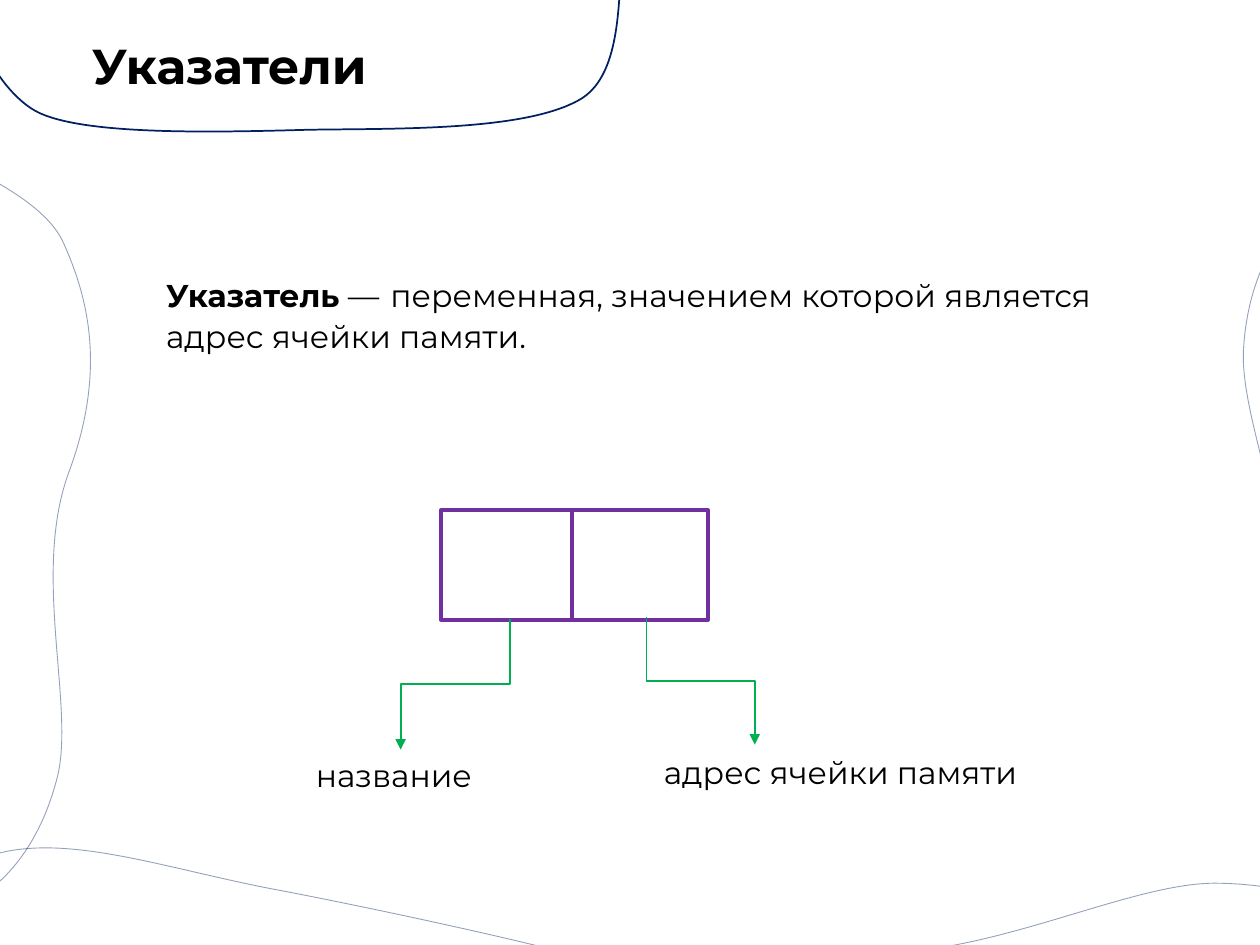
import dataclasses
import typing

import pptx
import pptx.dml.color
import pptx.enum.shapes
import pptx.enum.text
import pptx.oxml.ns
import pptx.util
from lxml import etree

Inches = pptx.util.Inches
Pt = pptx.util.Pt
qn = pptx.oxml.ns.qn
COLORS = {"text": "000000", "wave": "002060", "cell": "7030A0", "arrow": "00B050", "white": "FFFFFF"}
FONT = "Montserrat"


@dataclasses.dataclass
class Wave:
    points: list[tuple[float, float]]
    width: float = 0.5
    opacity: int = 42


@dataclasses.dataclass
class Run:
    text: str
    bold: bool = False
    size: int = 18
    font: str = FONT


@dataclasses.dataclass
class Label:
    left: float
    top: float
    width: float
    height: float
    runs: list[Run]


@dataclasses.dataclass
class Arrow:
    x1: float
    y1: float
    x2: float
    y2: float


WAVES = [
    Wave([(-0.4, 1.67), (-0.64, 2.05), (-1.11, 5.94), (-1.3, 6.97), (-1.49, 8.01), (-0.57, 7.32),
          (-0.27, 7.18), (0.02, 7.04), (0.32, 6.72), (0.46, 6.15), (0.59, 5.58), (0.25, 4.54),
          (0.55, 3.74), (0.84, 2.95), (0.71, 2.38), (0.5, 1.92), (0.29, 1.47), (-0.63, 1.22),
          (-0.72, 1.01)]),
    Wave([(4.53, -0.15), (4.2, -0.32), (1.13, -0.15), (0.3, -0.16), (-0.53, -0.18), (-0.08, 0.68),
          (0.28, 0.88), (0.64, 1.08), (1.73, 1.05), (2.46, 1.03), (3.18, 1.02), (4.2, 1.04),
          (4.62, 0.78), (5.04, 0.51), (4.85, -0.46), (5, -0.58)], 1, 100),
    Wave([(11.45, 7.03), (11.63, 6.62), (11.45, 2.71), (11.46, 1.65), (11.48, 0.6), (10.68, 1.44),
          (10.42, 1.62), (10.15, 1.81), (9.91, 2.17), (9.87, 2.76), (9.83, 3.34), (10.33, 4.32),
          (10.18, 5.15), (10.02, 5.98), (10.24, 6.52), (10.52, 6.94), (10.8, 7.35), (11.76, 7.44),
          (11.88, 7.63)]),
    Wave([(5.21, 7.77), (4.66, 7.57), (3.12, 7.24), (2.24, 7.07), (1.36, 6.91), (0.56, 6.61),
          (-0.04, 6.78), (-0.65, 6.95), (-1.1, 8.02), (-1.39, 8.09)]),
    Wave([(4.37, 9.23), (4.9, 9.42), (9.83, 8.92), (11.17, 8.87), (12.5, 8.82), (11.38, 7.91),
          (11.13, 7.6), (10.88, 7.29), (10.41, 7.02), (9.66, 7.01), (8.92, 7), (7.72, 7.68),
          (6.67, 7.55), (5.61, 7.42), (4.93, 7.72), (4.43, 8.1), (3.93, 8.47), (3.88, 9.63),
          (3.64, 9.8)]),
]
LABELS = [
    Label(1.22, 2, 8, 0.88, [
        Run("Указатель", True), Run(" —"), Run(" ", size=28, font="Calibri"),
        Run("переменная, значением которой является адрес ячейки памяти.")]),
    Label(2.41, 5.95, 1.47, 0.4, [Run("название")]),
    Label(5.17, 5.93, 3.25, 0.4, [Run("адрес ячейки памяти")]),
]
CELLS = [(3.5, 2.01), (4.54, 1.08)]
CELL_TOP, CELL_HEIGHT = 4.05, 0.87
ARROWS = [Arrow(4.05, 4.91, 3.18, 5.95), Arrow(5.13, 4.9, 5.99, 5.91)]


def rgb(name: str) -> pptx.dml.color.RGBColor:
    return pptx.dml.color.RGBColor.from_string(COLORS[name])


def set_line(sp: typing.Any, color: str, width: float) -> None:
    sp.line.color.rgb = rgb(color)
    sp.line.width = Pt(width)


def format_run(r: typing.Any, run: Run) -> None:
    r.font.name = run.font
    r.font.size = Pt(run.size)
    r.font.bold = run.bold
    r.font.color.rgb = rgb("text")


def add_title(s: typing.Any, text: str) -> None:
    sp = s.shapes.title
    sp.left, sp.top, sp.width, sp.height = (Inches(v) for v in (0.63, 0.23, 2.57, 0.63))
    tf = sp.text_frame
    tf.text = text
    tf.auto_size = pptx.enum.text.MSO_AUTO_SIZE.NONE
    tf.vertical_anchor = pptx.enum.text.MSO_ANCHOR.MIDDLE
    p = tf.paragraphs[0]
    p.alignment = pptx.enum.text.PP_ALIGN.LEFT
    p.line_spacing = 0.9
    format_run(p.runs[0], Run(text, True, 28))


def add_wave(s: typing.Any, wave: Wave) -> None:
    start, *rest = [(Inches(x), Inches(y)) for x, y in wave.points]
    builder = s.shapes.build_freeform(*start)
    builder.add_line_segments(rest, close=False)
    sp = builder.convert_to_shape()
    sp.shadow.inherit = False
    sp.fill.background()
    set_line(sp, "wave", wave.width)
    if wave.opacity < 100:
        color = next(sp.line._ln.iter(qn("a:srgbClr")))
        etree.SubElement(color, qn("a:alpha"), val=str(wave.opacity * 1000))
    outline = next(sp._element.iter(qn("a:path")))
    segments = outline.findall(qn("a:lnTo"))
    for i in range(0, len(segments), 3):
        curve = etree.SubElement(outline, qn("a:cubicBezTo"))
        for segment in segments[i:i + 3]:
            curve.append(segment[0])
            outline.remove(segment)


def add_cell(s: typing.Any, left: float, width: float) -> None:
    sp = s.shapes.add_shape(pptx.enum.shapes.MSO_SHAPE.RECTANGLE, Inches(left), Inches(CELL_TOP),
                            Inches(width), Inches(CELL_HEIGHT))
    sp.shadow.inherit = False
    sp.fill.solid()
    sp.fill.fore_color.rgb = rgb("white")
    set_line(sp, "cell", 2)


def add_arrow(s: typing.Any, arrow: Arrow) -> None:
    goes_right = arrow.x2 > arrow.x1
    cx, cy = (arrow.x1 + arrow.x2) / 2, (arrow.y1 + arrow.y2) / 2
    half_w = (arrow.y2 - arrow.y1) / 2 * (-1 if goes_right else 1)
    half_h = abs(arrow.x2 - arrow.x1) / 2
    sp = s.shapes.add_connector(pptx.enum.shapes.MSO_CONNECTOR.ELBOW,
                                Inches(cx - half_w), Inches(cy - half_h),
                                Inches(cx + half_w), Inches(cy + half_h))
    set_line(sp, "arrow", 1)
    etree.SubElement(sp.line._ln, qn("a:tailEnd"), type="triangle")
    props = sp._element.spPr
    etree.SubElement(props, qn("a:effectLst"))
    props.find(qn("a:xfrm")).set("rot", str((270 if goes_right else 90) * 60000))


def add_label(s: typing.Any, label: Label) -> None:
    sp = s.shapes.add_textbox(Inches(label.left), Inches(label.top),
                              Inches(label.width), Inches(label.height))
    tf = sp.text_frame
    tf.word_wrap = True
    tf.auto_size = pptx.enum.text.MSO_AUTO_SIZE.SHAPE_TO_FIT_TEXT
    p = tf.paragraphs[0]
    for run in label.runs:
        r = p.add_run()
        r.text = run.text
        format_run(r, run)


def main() -> None:
    prs = pptx.Presentation()
    prs.slide_width, prs.slide_height = Inches(10), Inches(7.5)
    s = prs.slides.add_slide(prs.slide_layouts.get_by_name("Title Only"))
    add_title(s, "Указатели")
    for wave in WAVES:
        add_wave(s, wave)
    for left, width in CELLS:
        add_cell(s, left, width)
    for arrow in ARROWS:
        add_arrow(s, arrow)
    for label in LABELS:
        add_label(s, label)
    prs.save("out.pptx")


if __name__ == "__main__":
    main()
